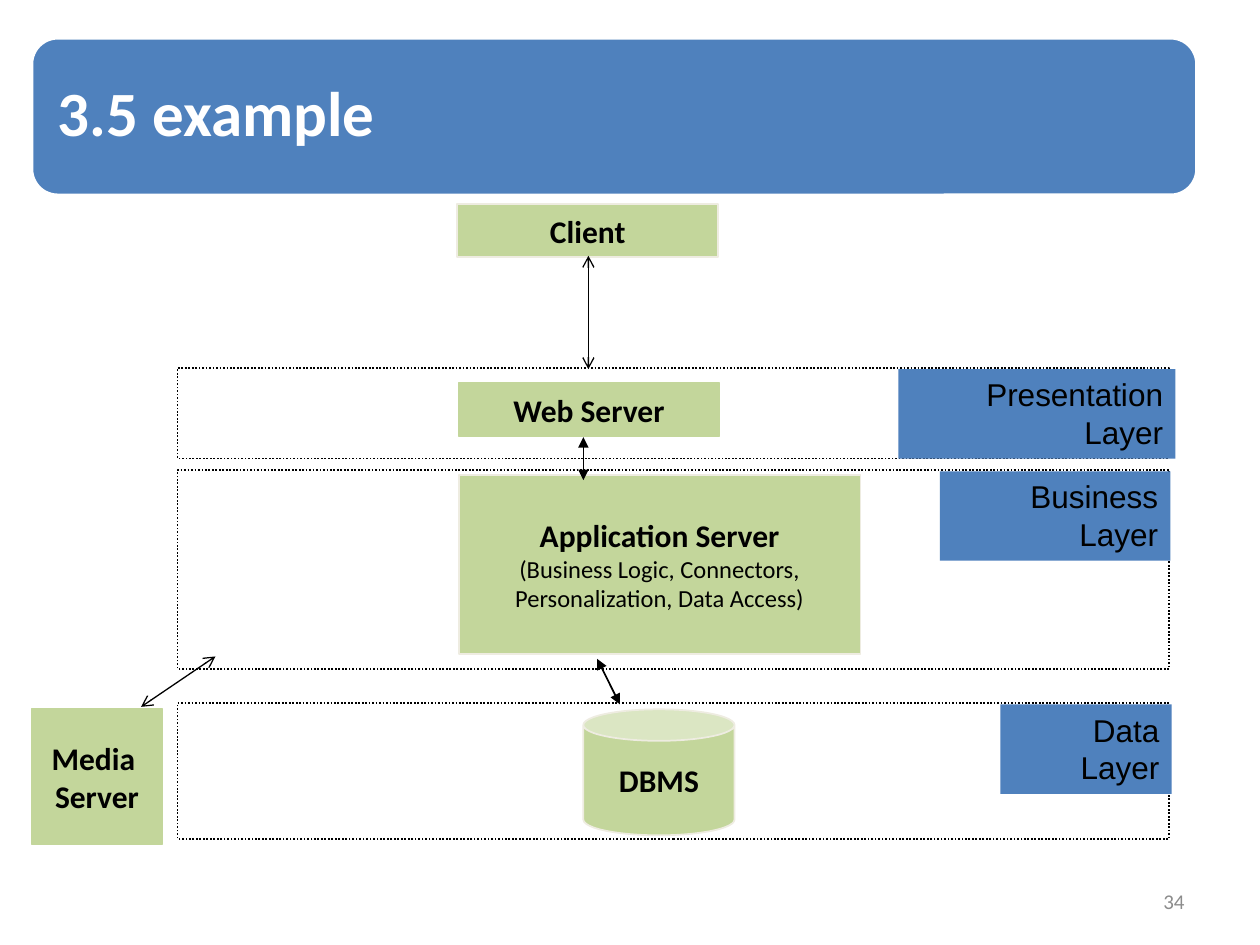
from lxml import etree
from pptx import Presentation
from pptx.dml.color import RGBColor
from pptx.enum import dml, shapes, text
from pptx.oxml import ns
from pptx.util import Inches, Pt

COLORS = {
    "blue": "4F81BD",
    "green": "C3D69B",
    "cream": "EEECE1",
    "white": "FFFFFF",
    "black": "000000",
    "gray": "8C8C8C",
}
SHAPE = shapes.MSO_SHAPE
ALIGN = text.PP_ALIGN
ANCHOR = text.MSO_ANCHOR


def rgb(name):
    return RGBColor.from_string(COLORS[name])


def write(frame, lines, size=18, font="Calibri", color="black", bold=False,
          align=ALIGN.CENTER, anchor=ANCHOR.MIDDLE, wrap=True, spacing=None):
    """Fill a text frame; a line is a string or a (string, size, bold) tuple."""
    frame.word_wrap = wrap
    frame.vertical_anchor = anchor
    for index, line in enumerate(lines):
        words, points, heavy = (line, size, bold) if isinstance(line, str) else line
        paragraph = frame.paragraphs[0] if index == 0 else frame.add_paragraph()
        paragraph.alignment = align
        if spacing:
            paragraph.line_spacing = spacing
        run = paragraph.add_run()
        run.text = words
        run.font.name = font
        run.font.size = Pt(points)
        run.font.bold = heavy
        run.font.color.rgb = rgb(color)


def add_box(slide, box, preset=SHAPE.RECTANGLE, fill=None, line=None, width=1):
    shape = slide.shapes.add_shape(preset, *map(Inches, box))
    shape.shadow.inherit = False
    if fill:
        shape.fill.solid()
        shape.fill.fore_color.rgb = rgb(fill)
    else:
        shape.fill.background()
    if line:
        shape.line.color.rgb = rgb(line)
        shape.line.width = Pt(width)
    else:
        shape.line.fill.background()
    return shape


def add_banner(slide, box, words):
    banner = add_box(slide, box, SHAPE.ROUNDED_RECTANGLE, "blue", "white", 2)
    title = slide.shapes.title
    # The banner goes behind the title
    title._element.addprevious(banner._element)
    inset = 0.06
    left, top, width, height = box
    title.left, title.top = Inches(left + inset), Inches(top + inset)
    title.width, title.height = Inches(width - 2 * inset), Inches(height - 2 * inset)
    frame = title.text_frame
    frame.auto_size = text.MSO_AUTO_SIZE.NONE
    frame.margin_left = frame.margin_right = Inches(0.15)
    frame.margin_top = frame.margin_bottom = Inches(0.15)
    write(frame, [words], size=36, color="white", bold=True,
          align=ALIGN.LEFT, spacing=0.9)


def add_layer(slide, box, label, label_box):
    """A dotted frame with a blue label at its right end."""
    frame = add_box(slide, box, line="black")
    frame.line.dash_style = dml.MSO_LINE.ROUND_DOT
    tag = add_box(slide, label_box, fill="blue")
    write(tag.text_frame, [label], font="Arial", align=ALIGN.RIGHT, anchor=ANCHOR.TOP)


def add_node(slide, box, lines, line="cream", preset=SHAPE.RECTANGLE):
    node = add_box(slide, box, preset, "green", line)
    write(node.text_frame, lines, bold=True, wrap=False)


def add_arrow(slide, start, end, head, width):
    arrow = slide.shapes.add_connector(
        shapes.MSO_CONNECTOR.STRAIGHT, *map(Inches, start + end))
    arrow.line.color.rgb = rgb("black")
    arrow.line.width = Pt(width)
    for side in ("a:headEnd", "a:tailEnd"):
        etree.SubElement(arrow.line._get_or_add_ln(), ns.qn(side), type=head)
    etree.SubElement(arrow._element.spPr, ns.qn("a:effectLst"))


def add_page_number(slide, box, number):
    page = slide.shapes.add_textbox(*map(Inches, box))
    write(page.text_frame, [number], size=12, color="gray", align=ALIGN.RIGHT)


def add_architecture(slide):
    # Layers
    left, width, label_height = 1.41, 7.87, 0.71
    for label, top, height, label_left, label_top, label_width in (
        ("Presentation Layer", 2.92, 0.72, 7.13, 2.93, 2.2),
        ("Business Layer", 3.73, 1.58, 7.46, 3.74, 1.83),
        ("Data Layer", 5.58, 1.08, 7.94, 5.59, 1.36),
    ):
        add_layer(slide, (left, top, width, height), label,
                  (label_left, label_top, label_width, label_height))

    # Servers and client
    add_node(slide, (3.63, 1.62, 2.07, 0.42), ["Client"])
    add_node(slide, (3.64, 3.04, 2.07, 0.42), ["Web Server"], line="green")
    add_node(slide, (3.64, 3.77, 3.19, 1.42), [
        "Application Server",
        ("(Business Logic, Connectors,", 14, False),
        ("Personalization, Data Access)", 14, False),
    ])
    add_node(slide, (4.63, 5.63, 1.2, 1), ["DBMS"], preset=SHAPE.CAN)
    add_node(slide, (0.25, 5.63, 1.04, 1.07), ["Media ", "Server"], line="green")

    # Two-way links
    for start, end, head, weight in (
        ((4.67, 2.03), (4.67, 2.93), "arrow", 0.75),
        ((4.63, 3.47), (4.63, 3.81), "triangle", 1),
        ((4.92, 5.59), (4.74, 5.23), "triangle", 1),
        ((1.71, 5.21), (1.12, 5.61), "arrow", 0.75),
    ):
        add_arrow(slide, start, end, head, weight)


def main():
    deck = Presentation()
    deck.slide_width, deck.slide_height = Inches(10), Inches(7.5)
    slide = deck.slides.add_slide(deck.slide_layouts.get_by_name("Title Only"))
    add_banner(slide, (0.25, 0.3, 9.25, 1.25), "3.5 example")
    add_architecture(slide)
    add_page_number(slide, (7.17, 6.95, 2.33, 0.4), "34")
    deck.save("out.pptx")


if __name__ == "__main__":
    main()
